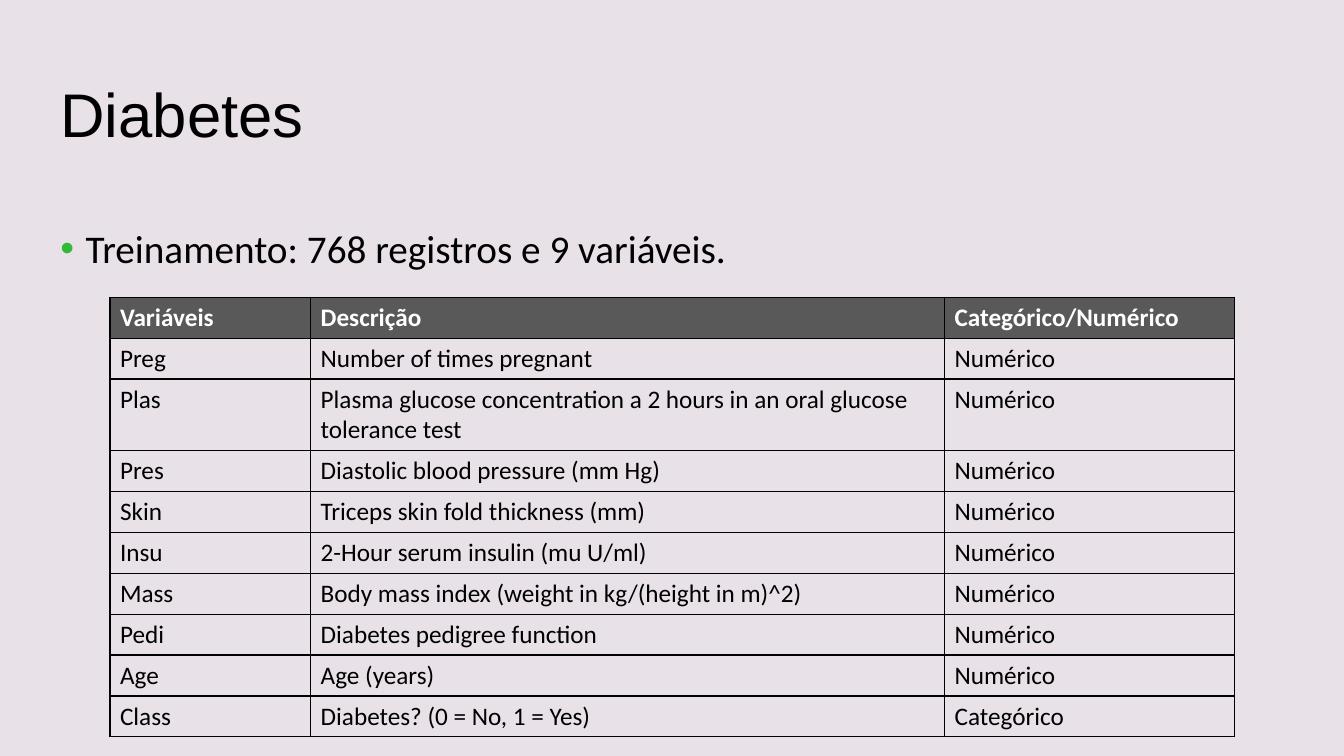
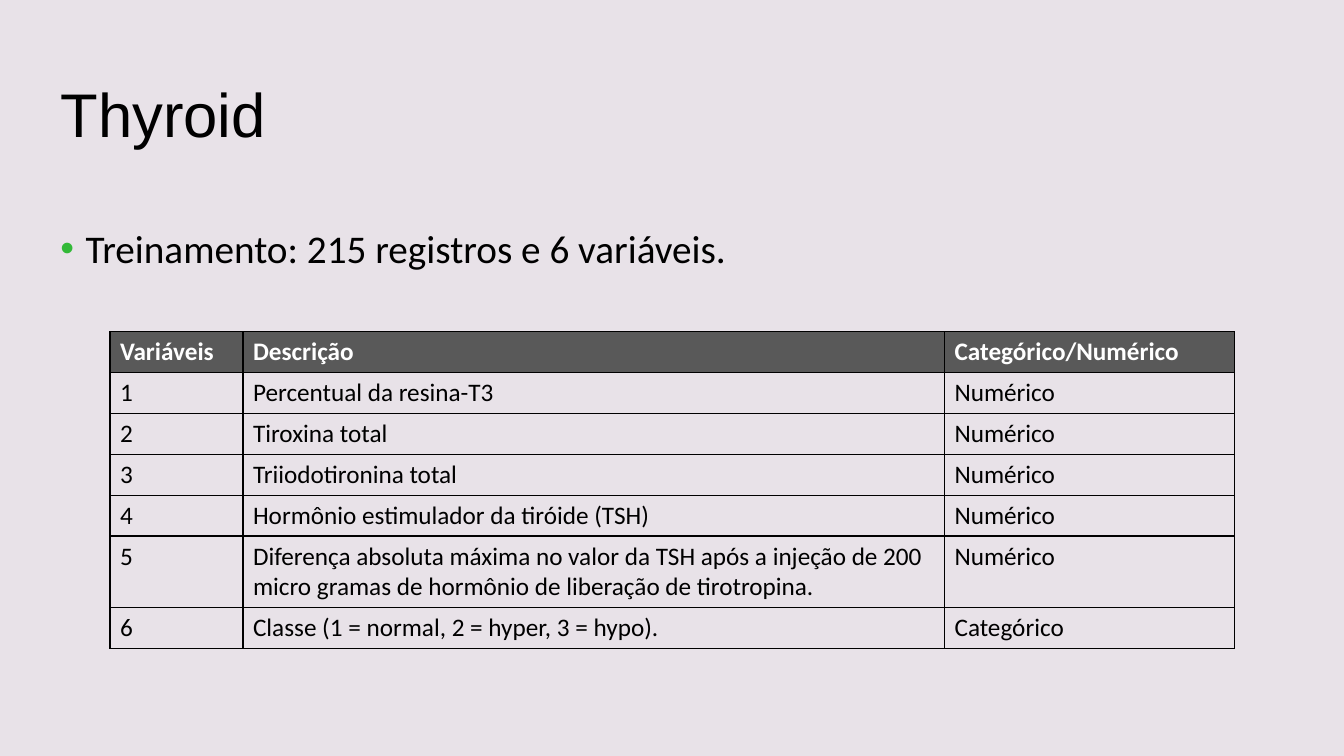
import pptx
import pptx.dml.color
import pptx.enum.text
import pptx.oxml
import pptx.oxml.ns
import pptx.util
from lxml import etree

ANCHOR = pptx.enum.text.MSO_ANCHOR
LEFT = pptx.enum.text.PP_ALIGN.LEFT
Pt = pptx.util.Pt

# Shared style: boxes are left, top, width, height in percent of the slide
COLORS = {"back": "E8E2E8", "ink": "000000", "bullet": "33B938",
          "head": "595959", "head_ink": "FFFFFF"}
TITLE_BOX = (3.75, 5.33, 89.4, 19.33)
BODY_BOX = (3.75, 28.4, 92.5, 61.2)
TABLE_LEFT = 8.18
ROW_HEIGHT = 5.35
TITLE_FONT = {"name": "Arial", "size": Pt(44), "bold": False}
BODY_FONT = {"name": "Calibri", "size": Pt(28), "bold": False}
CELL_FONT = {"name": "Calibri", "size": Pt(18), "bold": False}
HEAD_FONT = {**CELL_FONT, "bold": True}
BODY_PARAGRAPH = {"alignment": LEFT, "line_spacing": 1.1, "space_before": Pt(10)}
HEADER = ("Variáveis", "Descrição", "Categórico/Numérico")
NUM, CAT = "Numérico", "Categórico"


def rgb(value):
    return pptx.dml.color.RGBColor.from_string(value)


def set_format(target, values):
    for name, value in values.items():
        setattr(target, name, value)


class Deck:
    def __init__(self):
        self.prs = pptx.Presentation()
        set_format(self.prs, {"slide_width": pptx.util.Inches(13.33),
                              "slide_height": pptx.util.Inches(7.5)})
        fill = self.prs.slide_master.background.fill
        fill.solid()
        fill.fore_color.rgb = rgb(COLORS["back"])
        self.slide = None

    def x(self, share):
        return round(self.prs.slide_width * share / 100)

    def y(self, share):
        return round(self.prs.slide_height * share / 100)

    def add_slide(self):
        self.slide = self.prs.slides.add_slide(self.prs.slide_layouts[1])

    def text(self, tf, text, font, color, paragraph):
        p = tf.paragraphs[0]
        set_format(p, paragraph)
        r = p.add_run()
        r.text = text
        set_format(r.font, font)
        r.font.color.rgb = rgb(color)
        return p

    def placeholder(self, index, box, anchor, text, font, paragraph):
        sp = self.slide.placeholders[index]
        left, top, width, height = box
        set_format(sp, {"left": self.x(left), "top": self.y(top),
                        "width": self.x(width), "height": self.y(height)})
        set_format(sp.text_frame, {
            "vertical_anchor": anchor, "word_wrap": True,
            "auto_size": pptx.enum.text.MSO_AUTO_SIZE.NONE})
        return self.text(sp.text_frame, text, font, COLORS["ink"], paragraph)

    def title(self, text):
        self.placeholder(0, TITLE_BOX, ANCHOR.MIDDLE, text, TITLE_FONT,
                         {"alignment": LEFT})

    def bullet(self, text):
        p = self.placeholder(1, BODY_BOX, ANCHOR.TOP, text, BODY_FONT,
                             BODY_PARAGRAPH)
        pPr = p._p.get_or_add_pPr()
        indent = pptx.util.Inches(0.25)
        pPr.set("marL", str(indent))
        pPr.set("indent", str(-indent))
        color = etree.SubElement(pPr, pptx.oxml.ns.qn("a:buClr"))
        etree.SubElement(color, pptx.oxml.ns.qn("a:srgbClr"), val=COLORS["bullet"])
        etree.SubElement(pPr, pptx.oxml.ns.qn("a:buFont"), typeface="Arial")
        etree.SubElement(pPr, pptx.oxml.ns.qn("a:buChar"), char="•")

    def table(self, top, widths, rows):
        rows = [HEADER, *rows]
        frame = self.slide.shapes.add_table(
            len(rows), len(widths), self.x(TABLE_LEFT), self.y(top),
            self.x(sum(widths)), self.y(ROW_HEIGHT * len(rows)))
        table = frame.table
        table.horz_banding = False
        for column, width in zip(table.columns, widths):
            column.width = self.x(width)
        for i, row in enumerate(rows):
            table.rows[i].height = self.y(ROW_HEIGHT)
            for j, text in enumerate(row):
                self.cell(table.cell(i, j), text, header=i == 0)

    def cell(self, cell, text, header):
        if header:
            cell.fill.solid()
            cell.fill.fore_color.rgb = rgb(COLORS["head"])
        else:
            cell.fill.background()
        font = HEAD_FONT if header else CELL_FONT
        color = COLORS["head_ink" if header else "ink"]
        self.text(cell.text_frame, text, font, color, {"alignment": LEFT})
        # Borders go before the fill
        tcPr = cell._tc.get_or_add_tcPr()
        for i, side in enumerate(("lnL", "lnR", "lnT", "lnB")):
            tcPr.insert(i, pptx.oxml.parse_xml(
                f'<a:{side} {pptx.oxml.ns.nsdecls("a")} w="{Pt(1)}"><a:solidFill>'
                f'<a:srgbClr val="{COLORS["ink"]}"/></a:solidFill></a:{side}>'))


# Content of each slide
SLIDES = [
    {"title": "Diabetes",
     "bullet": "Treinamento: 768 registros e 9 variáveis.",
     "top": 39.33, "widths": (14.93, 47.17, 21.6),
     "rows": [
         ("Preg", "Number of times pregnant", NUM),
         ("Plas", "Plasma glucose concentration a 2 hours in an oral "
                  "glucose tolerance test", NUM),
         ("Pres", "Diastolic blood pressure (mm Hg)", NUM),
         ("Skin", "Triceps skin fold thickness (mm)", NUM),
         ("Insu", "2-Hour serum insulin (mu U/ml)", NUM),
         ("Mass", "Body mass index (weight in kg/(height in m)^2)", NUM),
         ("Pedi", "Diabetes pedigree function", NUM),
         ("Age", "Age (years)", NUM),
         ("Class", "Diabetes? (0 = No, 1 = Yes)", CAT)]},
    {"title": "Thyroid",
     "bullet": "Treinamento: 215 registros e 6 variáveis.",
     "top": 43.87, "widths": (9.9, 52.2, 21.6),
     "rows": [
         ("1", "Percentual da resina-T3", NUM),
         ("2", "Tiroxina total", NUM),
         ("3", "Triiodotironina total", NUM),
         ("4", "Hormônio estimulador da tiróide (TSH)", NUM),
         ("5", "Diferença absoluta máxima no valor da TSH após a injeção de "
               "200 micro gramas de hormônio de liberação de tirotropina.", NUM),
         ("6", "Classe (1 = normal, 2 = hyper, 3 = hypo).", CAT)]},
]


def main():
    deck = Deck()
    for content in SLIDES:
        deck.add_slide()
        deck.title(content["title"])
        deck.bullet(content["bullet"])
        deck.table(content["top"], content["widths"], content["rows"])
    deck.prs.save("out.pptx")


if __name__ == "__main__":
    main()
